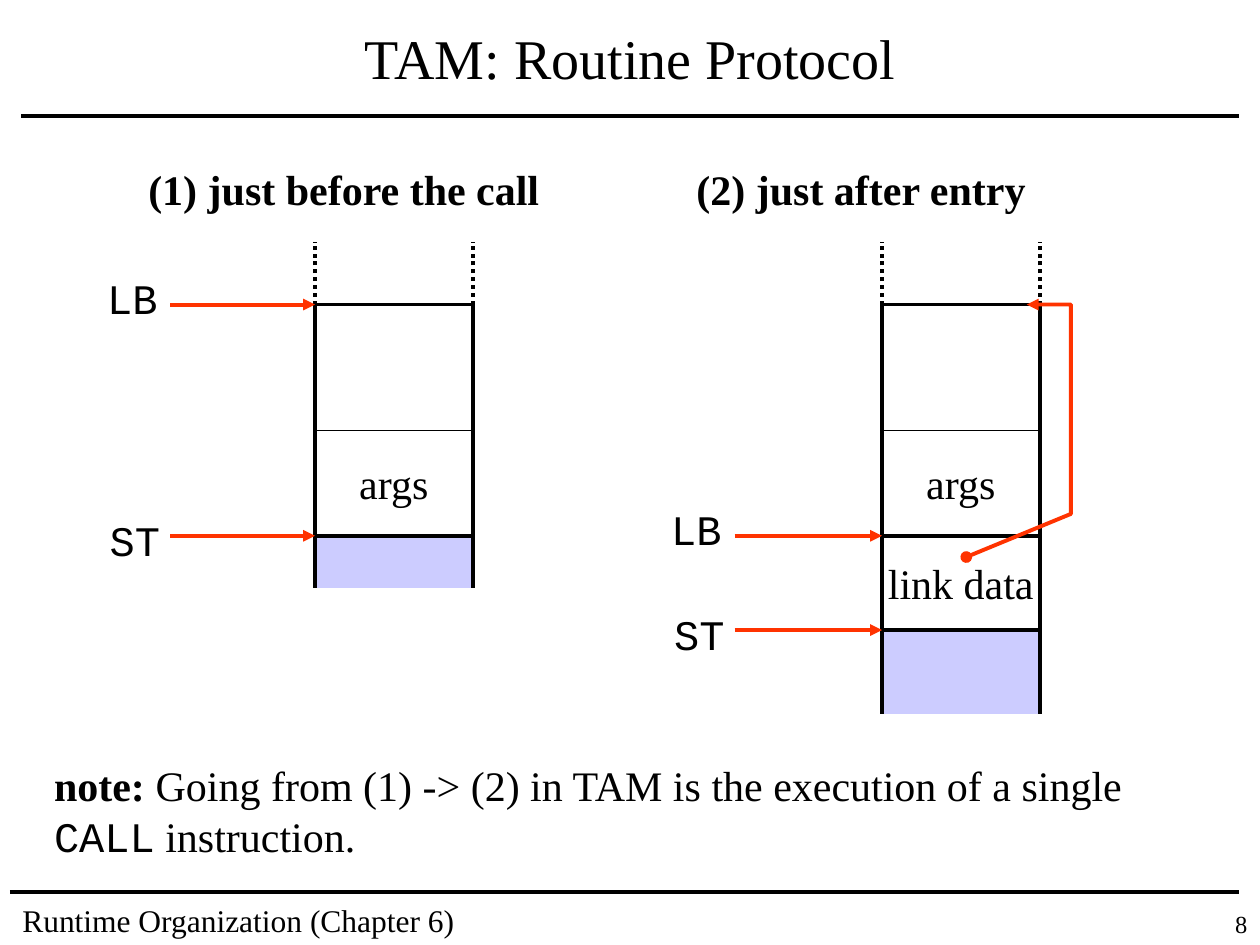
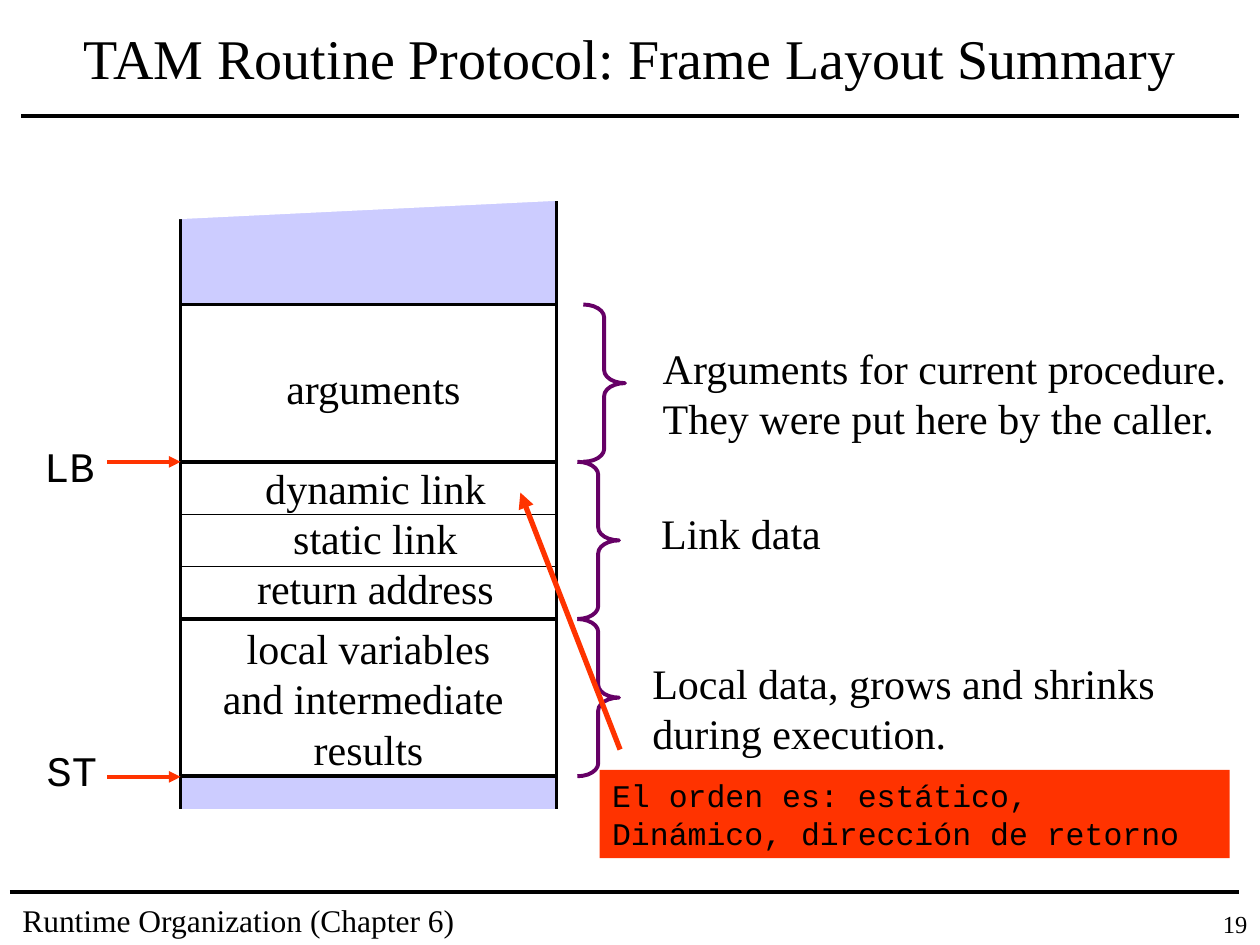
from pptx import Presentation
from pptx.dml.color import RGBColor
from pptx.enum.dml import MSO_LINE
from pptx.enum.shapes import MSO_CONNECTOR, MSO_SHAPE
from pptx.enum.text import MSO_ANCHOR, MSO_AUTO_SIZE, PP_ALIGN
from pptx.oxml.ns import qn
from pptx.util import Cm, Pt
from lxml import etree

LEFT, CENTER, RIGHT = PP_ALIGN.LEFT, PP_ALIGN.CENTER, PP_ALIGN.RIGHT
TOP, MIDDLE = MSO_ANCHOR.TOP, MSO_ANCHOR.MIDDLE
RECTANGLE, BRACE = MSO_SHAPE.RECTANGLE, MSO_SHAPE.RIGHT_BRACE
STRAIGHT = MSO_CONNECTOR.STRAIGHT
DOTTED = MSO_LINE.ROUND_DOT

COLORS = {"ink": "000000", "paper": "FFFFFF", "memory": "CCCCFF",
          "pointer": "FF3300", "brace": "660066"}
SERIF, MONO = "Times New Roman", "Courier New"
THICK, THIN = 2.25, 0.75
LINE_HEIGHT = 1.27  # one 24 pt line with its margins

# Content; all lengths in centimetres
FOOTER = "Runtime Organization (Chapter 6)"

PROTOCOL = {
    "title": "TAM: Routine Protocol",
    "number": "8",
    "stacks": [
        {"left": 6.35, "bottom": 11.85, "link data": None,
         "heading": ("(1) just before the call", 2.74, 8.41),
         # name, label left, label top, arrow start, arrow height
         "pointers": [("LB", 1.91, 5.36, 3.43, 6.14),
                      ("ST", 1.96, 10.24, 3.43, 10.8)]},
        {"left": 17.78, "bottom": 14.39, "link data": "link data",
         "heading": ("(2) just after entry", 13.79, 7.16),
         "pointers": [("LB", 13.28, 10.03, 14.81, 10.8),
                      ("ST", 13.34, 12.14, 14.81, 12.7)]},
    ],
    "dynamic link": [(19.48, 11.23), (21.59, 10.36), (21.59, 6.14), (20.7, 6.14)],
    "note": [("note: ", SERIF, True),
             ("Going from (1) -> (2) in TAM is the execution of a single ", SERIF, False),
             ("CALL", MONO, False),
             (" instruction.", SERIF, False)],
}

LAYOUT = {
    "title": "TAM Routine Protocol: Frame Layout Summary",
    "number": "19",
    "pointers": [("LB", 0.64, 8.76, 2.16, 9.31), ("ST", 0.69, 14.88, 2.16, 15.66)],
    # text inside a block, its left, top, width, height
    "blocks": [("arguments", 5.51, 7.19, 4.04, LINE_HEIGHT),
               ("dynamic link\nstatic link\nreturn address", 4.93, 9.19, 5.28, 3.3),
               ("local variables\nand intermediate \nresults", 3.64, 12.49, 7.58, 3.17)],
    # brace left, then the remark beside it
    "remarks": [(11.76, "Arguments for current procedure.\nThey were put here by the caller.",
                 13.11, 6.78, 11.89, 2.29),
                (11.64, "Link data", 13.08, 10.11, 3.73, LINE_HEIGHT),
                (11.64, "Local data, grows and shrinks\nduring execution.",
                 12.9, 13.13, 10.64, 2.29)],
    "correction": "El orden es: estático,\nDinámico, dirección de retorno",
}


def color(name):
    return RGBColor.from_string(COLORS[name])


def style_font(font, size=24, name=SERIF, bold=False):
    font.size, font.name, font.bold = Pt(size), name, bold
    font.color.rgb = color("ink")


def write(shape, text, size=24, font=SERIF, bold=False, align=LEFT, anchor=TOP, wrap=False):
    frame = shape.text_frame
    frame.text = text
    frame.word_wrap = wrap
    frame.auto_size = MSO_AUTO_SIZE.NONE
    frame.vertical_anchor = anchor
    for paragraph in frame.paragraphs:
        paragraph.alignment = align
        for run in paragraph.runs:
            style_font(run.font, size, font, bold)


def add_text(slide, text, left, top, width, height=LINE_HEIGHT, **style):
    box = slide.shapes.add_textbox(Cm(left), Cm(top), Cm(width), Cm(height))
    write(box, text, **style)
    return box


def paint(shape, fill=None, line=None):
    shape.shadow.inherit = False
    if fill:
        shape.fill.solid()
        shape.fill.fore_color.rgb = color(fill)
    else:
        shape.fill.background()
    if line:
        shape.line.color.rgb = color(line)
        shape.line.width = Pt(THICK)
    else:
        shape.line.fill.background()


def add_preset(slide, kind, left, top, width, height, fill=None, line=None):
    shape = slide.shapes.add_shape(kind, Cm(left), Cm(top), Cm(width), Cm(height))
    paint(shape, fill, line)
    return shape


def add_outline(slide, points, fill=None, line=None, close=False):
    points = [(Cm(x), Cm(y)) for x, y in points]
    builder = slide.shapes.build_freeform(*points[0])
    builder.add_line_segments(points[1:], close=close)
    shape = builder.convert_to_shape()
    paint(shape, fill, line)
    return shape


def add_open_frame(slide, left, top, right, bottom):
    add_outline(slide, [(left, bottom), (left, top), (right, top), (right, bottom)],
                "memory", "ink")


def add_ends(shape, **ends):
    line = shape.line._get_or_add_ln()
    for end, kind in ends.items():
        etree.SubElement(line, qn(f"a:{end}"), type=kind)


def add_line(slide, x1, y1, x2, y2, ink="ink", width=THICK, dash=None, arrow=False):
    line = slide.shapes.add_connector(STRAIGHT, Cm(x1), Cm(y1), Cm(x2), Cm(y2))
    line.line.color.rgb = color(ink)
    line.line.width = Pt(width)
    if dash:
        line.line.dash_style = dash
    if arrow:
        add_ends(line, tailEnd="triangle")
    etree.SubElement(line._element.spPr, qn("a:effectLst"))


def add_pointers(slide, pointers, target):
    for name, left, top, start, y in pointers:
        add_text(slide, name, left, top, 1.52, font=MONO)
        add_line(slide, start, y, target, y, "pointer", arrow=True)


def start_slide(presentation, content):
    """Add a slide with the shared title, rules and footer."""
    slide = presentation.slides.add_slide(presentation.slide_layouts[5])
    title = slide.shapes.title
    title.left, title.top, title.width, title.height = Cm(0.64), Cm(0.2), Cm(24.13), Cm(1.9)
    write(title, content["title"], 32, align=CENTER, anchor=MIDDLE, wrap=True)
    add_line(slide, 0.43, 2.34, 24.97, 2.34)
    add_line(slide, 0.2, 17.98, 24.97, 17.98)
    add_text(slide, FOOTER, 0.2, 18.03, 9.73, 1.02, size=18)
    add_text(slide, content["number"], 23.5, 18.21, 1.9, 0.84, size=14, align=RIGHT, wrap=True)
    return slide


def draw_stack(slide, stack):
    top, divider, base, width = 6.14, 8.68, 10.8, 3.18
    left = stack["left"]
    right = left + width
    heading, heading_left, heading_width = stack["heading"]
    add_text(slide, heading, heading_left, 3.18, heading_width, bold=True)

    # Memory cells
    add_open_frame(slide, left, 10.16, right, stack["bottom"])
    add_preset(slide, RECTANGLE, left, top, width, base - top, "paper", "ink")
    add_line(slide, left, divider, right, divider, width=THIN)
    add_text(slide, "args", left + 0.22, 9.09, 2.74, align=CENTER)
    for x in (left, right):
        add_line(slide, x, top, x, 4.87, dash=DOTTED)
    if stack["link data"]:
        cell = add_preset(slide, RECTANGLE, left, base, width, 1.9, "paper", "ink")
        write(cell, stack["link data"], align=CENTER, anchor=MIDDLE)

    add_pointers(slide, stack["pointers"], left)


def build_protocol(presentation):
    slide = start_slide(presentation, PROTOCOL)
    for stack in PROTOCOL["stacks"]:
        draw_stack(slide, stack)
    link = add_outline(slide, PROTOCOL["dynamic link"], line="pointer")
    add_ends(link, headEnd="oval", tailEnd="triangle")

    # Note with mixed fonts
    note = add_text(slide, "", 0.84, 15.19, 23.93, 2.29, wrap=True)
    for text, font, bold in PROTOCOL["note"]:
        run = note.text_frame.paragraphs[0].add_run()
        run.text = text
        style_font(run.font, name=font, bold=bold)


def build_layout(presentation):
    slide = start_slide(presentation, LAYOUT)
    left, right, top, block_height = 3.64, 11.22, 6.14, 3.17

    # Frame with its slanted upper edge
    add_open_frame(slide, left, 3.39, right, 16.3)
    add_outline(slide, [(2.96, 4.45), (11.85, 4.02), (11.85, 3.18), (2.96, 3.18)],
                "paper", close=True)

    # Blocks, braces and remarks
    rows = zip(LAYOUT["blocks"], LAYOUT["remarks"])
    for index, (block, (brace_left, *remark)) in enumerate(rows):
        y = top + index * block_height
        add_preset(slide, RECTANGLE, left, y, right - left, block_height, "paper", "ink")
        add_text(slide, *block, align=CENTER, anchor=MIDDLE)
        brace = add_preset(slide, BRACE, brace_left, y, 0.84, block_height, line="brace")
        brace.adjustments[0] = 0.31
        add_text(slide, *remark)
    for step in (1, 2):
        y = top + block_height + step * block_height / 3
        add_line(slide, left, y, right, y, width=THIN)
    add_pointers(slide, LAYOUT["pointers"], left)

    # Correction of the link order
    add_line(slide, 12.5, 15.11, 10.49, 9.93, "pointer", 3, arrow=True)
    correction = add_preset(slide, RECTANGLE, 12.09, 15.52, 12.7, 1.78, "pointer")
    write(correction, LAYOUT["correction"], 18, MONO, wrap=True)


def main():
    presentation = Presentation()
    presentation.slide_width, presentation.slide_height = Cm(25.4), Cm(19.05)
    build_protocol(presentation)
    build_layout(presentation)
    presentation.save("out.pptx")


if __name__ == "__main__":
    main()
